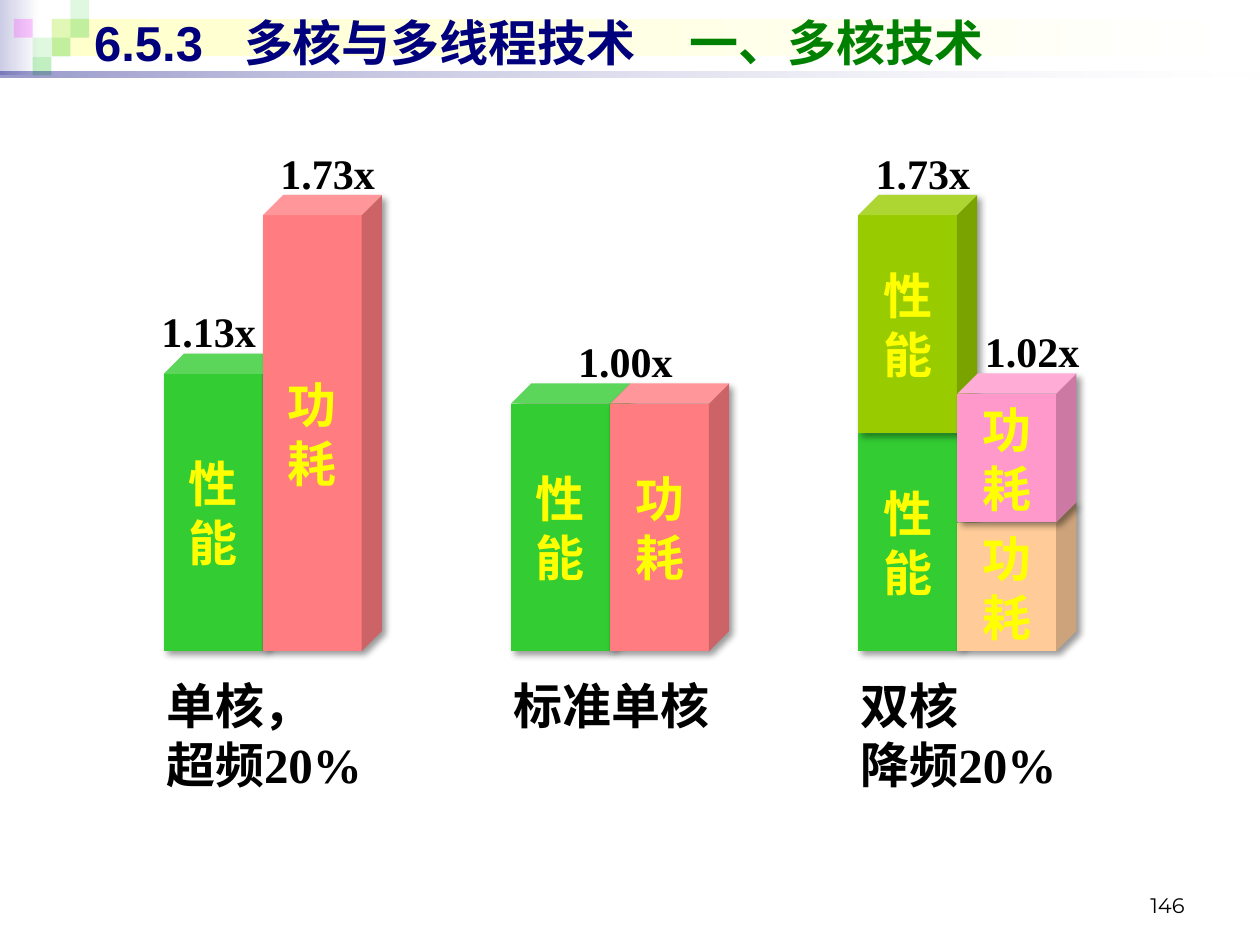
"""Build the slide comparing performance and power of single and dual cores."""
from lxml.etree import SubElement
from pptx import Presentation
from pptx.dml.color import RGBColor
from pptx.enum.shapes import MSO_SHAPE as Shape
from pptx.enum.text import MSO_ANCHOR as Anchor, PP_ALIGN as Align
from pptx.oxml.ns import qn
from pptx.util import Cm, Pt

BLACK = RGBColor(0x00, 0x00, 0x00)
WHITE = RGBColor(0xFF, 0xFF, 0xFF)
YELLOW = RGBColor(0xFF, 0xFF, 0x00)
NAVY = RGBColor(0x00, 0x00, 0x7D)
DARK_GREEN = RGBColor(0x00, 0x80, 0x00)
GREEN = RGBColor(0x33, 0xCC, 0x33)
LIME = RGBColor(0x99, 0xCC, 0x00)
CORAL = RGBColor(0xFF, 0x7C, 0x80)
PEACH = RGBColor(0xFF, 0xCC, 0x99)
PINK = RGBColor(0xFF, 0x99, 0xCC)
MAGENTA = RGBColor(0xFF, 0x00, 0xFF)
LAVENDER = RGBColor(0xCC, 0xCC, 0xE6)
CREAM = RGBColor(0xFF, 0xFF, 0xCC)

deck = Presentation()
deck.slide_width, deck.slide_height = Cm(25.4), Cm(19.05)
slide = deck.slides.add_slide(deck.slide_layouts[6])


def add_band(left, top, width, height, colors, alphas):
    band = slide.shapes.add_shape(Shape.RECTANGLE, Cm(left), Cm(top), Cm(width), Cm(height))
    band.shadow.inherit = False
    band.line.fill.background()
    if len(colors) == 1:
        band.fill.solid()
        band.fill.fore_color.rgb = colors[0]
    else:
        band.fill.gradient()
        band.fill.gradient_angle = 0
        for stop, color in zip(band.fill.gradient_stops, colors):
            stop.color.rgb = color
    for tint, alpha in zip(band._element.spPr.iter(qn("a:srgbClr")), alphas):
        SubElement(tint, qn("a:alpha")).set("val", str(alpha * 1000))


def write(frame, text, size, color, align=Align.LEFT, font="Times New Roman", bold=True):
    frame.text = text
    for paragraph in frame.paragraphs:
        paragraph.alignment = align
        for run in paragraph.runs:
            run.font.name, run.font.size, run.font.bold = font, Pt(size), bold
            run.font.color.rgb = color


add_band(0, 0, 0.79, 1.52, [LAVENDER, WHITE], [100, 100])
add_band(1.04, 0.38, 24.26, 0.76, [CREAM, WHITE], [100, 100])
for column, row, color, alpha in [
    (2, 1, GREEN, 15), (3, 0, GREEN, 15), (3, 1, GREEN, 30), (1, 2, GREEN, 15),
    (0, 1, MAGENTA, 20), (2, 2, GREEN, 30), (1, 3, GREEN, 30),
]:
    add_band(0.28 + 0.38 * column, 0.38 * row, 0.38, 0.38, [color], [alpha])
add_band(0, 1.44, 25.4, 0.13, [NAVY, WHITE], [40, 10])

page_number = slide.shapes.add_textbox(Cm(18.2), Cm(17.35), Cm(5.93), Cm(1.27)).text_frame
page_number.word_wrap = True
page_number.vertical_anchor = Anchor.BOTTOM
write(page_number, "146", 12, BLACK, Align.RIGHT, "Montserrat", False)

title = slide.shapes.add_textbox(Cm(1.65), Cm(0.13), Cm(23.44), Cm(1.45)).text_frame
title.word_wrap = True
title.vertical_anchor = Anchor.MIDDLE
write(title, "6.5.3\t多核与多线程技术\t", 28, NAVY, font="Arial")
topic = title.paragraphs[0].add_run()
topic.text = "一、多核技术"
topic.font.name, topic.font.size, topic.font.bold = "Arial", Pt(28), True
topic.font.color.rgb = DARK_GREEN
tab_stops = SubElement(title.paragraphs[0]._p.get_or_add_pPr(), qn("a:tabLst"))
for position in (3.02, 12):
    tab_stop = SubElement(tab_stops, qn("a:tab"))
    tab_stop.set("pos", str(Cm(position)))
    tab_stop.set("algn", "l")

BASE, FACE, DEPTH = 13.13, 2, 0.4
GROUP_LEFTS = [3.3 + 7 * group for group in range(3)]
PERFORMANCE, POWER = "性\n能", "功\n耗"

for group, side, height, lift, color, measure in [
    (0, 0, 6, 0, GREEN, PERFORMANCE),
    (0, 1, 9.2, 0, CORAL, POWER),
    (1, 0, 5.4, 0, GREEN, PERFORMANCE),
    (1, 1, 5.4, 0, CORAL, POWER),
    (2, 0, 4.8, 0, GREEN, PERFORMANCE),
    (2, 0, 4.8, 4.4, LIME, PERFORMANCE),
    (2, 1, 3, 0, PEACH, POWER),
    (2, 1, 3, 2.6, PINK, POWER),
]:
    bar = slide.shapes.add_shape(
        Shape.CUBE, Cm(GROUP_LEFTS[group] + FACE * side), Cm(BASE - lift - height),
        Cm(FACE + DEPTH), Cm(height))
    bar.adjustments[0] = 0.17
    bar.fill.solid()
    bar.fill.fore_color.rgb = color
    bar.line.fill.background()
    bar.shadow.inherit = False
    shadow = SubElement(bar._element.spPr.find(qn("a:effectLst")), qn("a:outerShdw"))
    for key, value in [("blurRad", Pt(4)), ("dist", Pt(3)), ("dir", 45 * 60000),
                       ("algn", "tl"), ("rotWithShape", 0)]:
        shadow.set(key, str(value))
    shade = SubElement(shadow, qn("a:srgbClr"))
    shade.set("val", str(BLACK))
    SubElement(shade, qn("a:alpha")).set("val", "40000")
    bar.text_frame.word_wrap = False
    bar.text_frame.vertical_anchor = Anchor.MIDDLE
    write(bar.text_frame, measure, 28, YELLOW, Align.CENTER)

for left, bar_height, ratio in [
    (2.3, 6, "1.13x"), (4.7, 9.2, "1.73x"), (10.7, 5.4, "1.00x"),
    (16.7, 9.2, "1.73x"), (18.9, 5.6, "1.02x"),
]:
    label = slide.shapes.add_textbox(
        Cm(left), Cm(BASE - bar_height - 1.09), Cm(3.81), Cm(1.27)).text_frame
    label.word_wrap = True
    write(label, ratio, 24, BLACK, Align.CENTER)

for left, width, height, caption in zip(
    GROUP_LEFTS, (5.8, 5.6, 6), (2.64, 1.45, 2.64),
    ("单核，\n超频20%", "标准单核", "双核\n降频20%"),
):
    note = slide.shapes.add_textbox(Cm(left - 0.2), Cm(13.5), Cm(width), Cm(height)).text_frame
    note.word_wrap = True
    write(note, caption, 28, BLACK)

deck.save("out.pptx")
